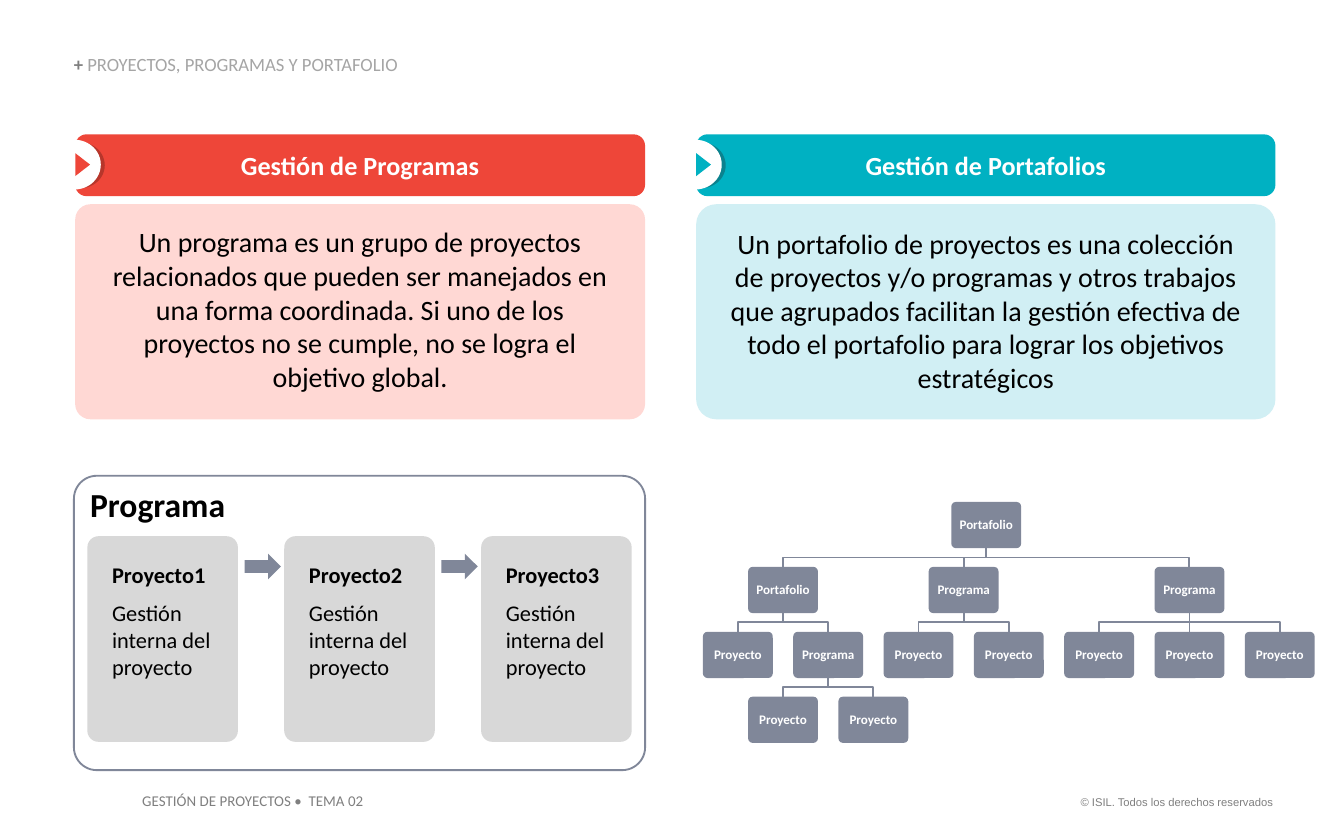
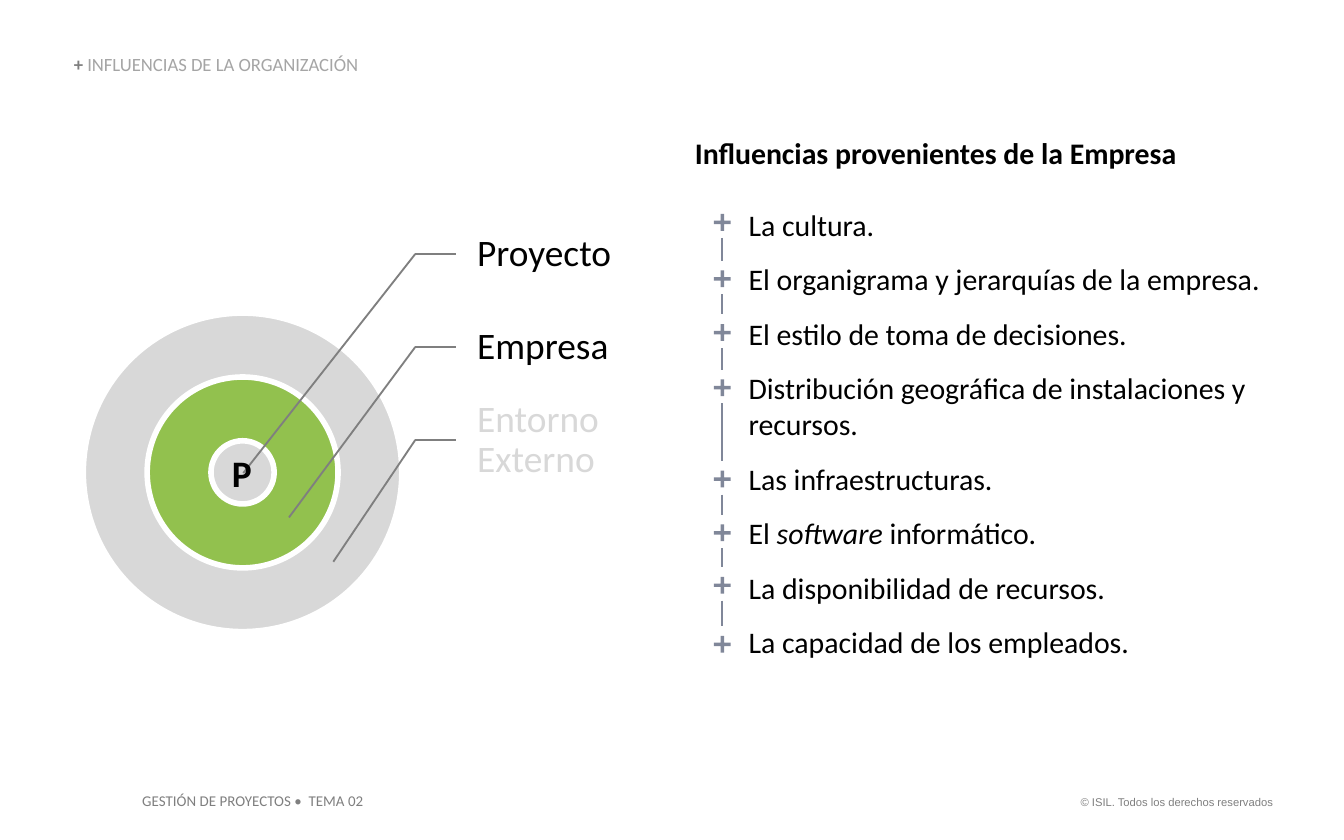
from lxml.etree import SubElement
from pptx import Presentation
from pptx.dml.color import RGBColor
from pptx.enum.shapes import MSO_CONNECTOR, MSO_SHAPE
from pptx.enum.text import MSO_ANCHOR, PP_ALIGN
from pptx.oxml.ns import qn
from pptx.util import Inches, Pt

COLOURS = {
    "black": "000000", "white": "FFFFFF", "grey": "7F7F7F", "title": "A5A5A5",
    "pale": "D8D8D8", "slate": "808799", "green": "92C14E",
    "red": "EE4639", "red_dark": "B7362B", "red_light": "FFD8D4",
    "teal": "00B1C2", "teal_dark": "0B828E", "teal_light": "D1EFF4",
}
RGB = {name: RGBColor.from_string(code) for name, code in COLOURS.items()}

deck = Presentation()
deck.slide_width, deck.slide_height = Inches(10), Inches(6.25)
# Every length below counts cells of a grid of 100 columns by 62.5 rows.
COL = deck.slide_width / 100
ROW = deck.slide_height / 62.5


def add_part(slide, preset, box, fill=None, line=None, line_width=1, adjust=None,
             text="", size=12, colour="black", bold=False, font="Calibri",
             align=PP_ALIGN.LEFT, anchor=MSO_ANCHOR.TOP, insets=(0, 0, 0, 0), spacing=None):
    """Place a preset shape, or a text box if preset is None; box is in grid cells."""
    left, top, width, height = box
    frame = int(left * COL), int(top * ROW), int(width * COL), int(height * ROW)
    if preset is None:
        part = slide.shapes.add_textbox(*frame)
    else:
        part = slide.shapes.add_shape(preset, *frame)
        part.shadow.inherit = False
        if adjust is not None:
            part.adjustments[0] = adjust
        if fill:
            part.fill.solid()
            part.fill.fore_color.rgb = RGB[fill]
        else:
            part.fill.background()
        if line:
            part.line.color.rgb = RGB[line]
            part.line.width = Pt(line_width)
        else:
            part.line.fill.background()
    words = part.text_frame
    words.word_wrap = True
    words.vertical_anchor = anchor
    words.margin_left, words.margin_top, words.margin_right, words.margin_bottom = (
        int(inset * COL) for inset in insets)
    if text:
        words.text = text
    for paragraph in words.paragraphs:
        paragraph.alignment = align
        if spacing:
            paragraph.line_spacing = spacing
        for run in paragraph.runs:
            run.font.name, run.font.size, run.font.bold = font, Pt(size), bold
            run.font.color.rgb = RGB[colour]
    return part


def add_line(slide, start, end, colour):
    (x1, y1), (x2, y2) = start, end
    line = slide.shapes.add_connector(MSO_CONNECTOR.STRAIGHT, int(x1 * COL), int(y1 * ROW),
                                      int(x2 * COL), int(y2 * ROW))
    line.line.color.rgb = RGB[colour]
    line.line.width = Pt(1)
    SubElement(line._element.spPr, qn("a:effectLst"))
    return line


# Title and footers of both slides
FOOTER_INSETS = (1, 0.5, 1, 0.5)
slides = []
for title in ("PROYECTOS, PROGRAMAS Y PORTAFOLIO", "INFLUENCIAS DE LA ORGANIZACIÓN"):
    slide = deck.slides.add_slide(deck.slide_layouts[6])
    slides.append(slide)
    add_part(slide, None, (79.1, 58.7, 16.6, 2), text="© ISIL. Todos los derechos reservados",
             size=6, font="Arial", colour="grey", align=PP_ALIGN.RIGHT, insets=FOOTER_INSETS)
    add_part(slide, None, (9.6, 58.4, 18.5, 2.4), text="GESTIÓN DE PROYECTOS •  TEMA 02",
             size=8, colour="grey", insets=FOOTER_INSETS)
    heading = add_part(slide, None, (5.5, 4.1, 49, 1.5), text="+ ", size=10, colour="grey",
                       bold=True, anchor=MSO_ANCHOR.BOTTOM, spacing=0.9)
    title_run = heading.text_frame.paragraphs[0].add_run()
    title_run.text = title
    title_run.font.name, title_run.font.size, title_run.font.bold = "Calibri", Pt(10), False
    title_run.font.color.rgb = RGB["title"]
programs, influences = slides

# Slide 1: definitions
DEFINITIONS = [
    (5.6, 42.4, "red", 0.071, "Gestión de Programas",
     "Un programa es un grupo de proyectos relacionados que pueden ser manejados en una forma "
     "coordinada. Si uno de los proyectos no se cumple, no se logra el objetivo global."),
    (51.8, 43.1, "teal", 0.093, "Gestión de Portafolios",
     "Un portafolio de proyectos es una colección de proyectos y/o programas y otros trabajos "
     "que agrupados facilitan la gestión efectiva de todo el portafolio para lograr los "
     "objetivos estratégicos"),
]
for left, width, hue, corner, term, meaning in DEFINITIONS:
    add_part(programs, MSO_SHAPE.ROUNDED_RECTANGLE, (left, 15.2, width, 16), hue + "_light",
             adjust=corner, text=meaning, size=15, align=PP_ALIGN.CENTER,
             insets=(1.6, 1.2, 1.6, 0.5))
    add_part(programs, MSO_SHAPE.ROUNDED_RECTANGLE, (left, 10, width, 4.6), hue, adjust=0.183,
             text=term, size=14, colour="white", bold=True, align=PP_ALIGN.CENTER,
             anchor=MSO_ANCHOR.MIDDLE, insets=FOOTER_INSETS)
    add_part(programs, MSO_SHAPE.OVAL, (left - 1.4, 10.6, 3.6, 3.4), hue + "_dark")
    add_part(programs, MSO_SHAPE.OVAL, (left - 2, 10.4, 3.9, 3.7), "white")
    pointer = add_part(programs, MSO_SHAPE.ISOSCELES_TRIANGLE, (left - 0.3, 11.7, 1.7, 1.1), hue)
    pointer.rotation = 90

# Slide 1: program made of projects
add_part(programs, None, (6.7, 36, 19.1, 3), text="Programa", size=18, bold=True)
for number in range(3):
    left = 6.5 + 14.65 * number
    project = add_part(programs, MSO_SHAPE.ROUNDED_RECTANGLE, (left, 39.9, 11.2, 15.3), "pale",
                       adjust=0.074, insets=(1.6, 1.6, 0, 0.5),
                       text=f"Proyecto{number + 1}\nGestión interna del proyecto")
    name, detail = project.text_frame.paragraphs
    name.runs[0].font.bold = True
    detail.space_before = Pt(6)
    if number < 2:
        add_part(programs, MSO_SHAPE.RIGHT_ARROW, (left + 11.7, 41.2, 2.7, 1.9), "slate")
add_part(programs, MSO_SHAPE.ROUNDED_RECTANGLE, (5.5, 35.4, 42.5, 21.9), line="slate",
         adjust=0.078)

# Slide 1: portfolio tree as (label, half-step across, level, parent)
TREE = [
    ("Portafolio", 5.5, 0, None),
    ("Portafolio", 1, 1, 0), ("Programa", 5, 1, 0), ("Programa", 10, 1, 0),
    ("Proyecto", 0, 2, 1), ("Programa", 2, 2, 1),
    ("Proyecto", 4, 2, 2), ("Proyecto", 6, 2, 2),
    ("Proyecto", 8, 2, 3), ("Proyecto", 10, 2, 3), ("Proyecto", 12, 2, 3),
    ("Proyecto", 1, 3, 5), ("Proyecto", 3, 3, 5),
]
NODE_W, NODE_H, GAP = 5.2, 3.44, 1.39
nodes = []
for label, step, level, parent in TREE:
    middle = 54.9 + 3.36 * step
    top = 37.35 + (NODE_H + GAP) * level
    node = add_part(programs, MSO_SHAPE.ROUNDED_RECTANGLE,
                    (middle - NODE_W / 2, top, NODE_W, NODE_H), "slate", adjust=0.1,
                    text=label, size=7, colour="white", bold=True, align=PP_ALIGN.CENTER,
                    anchor=MSO_ANCHOR.MIDDLE, insets=(0.4,) * 4, spacing=0.9)
    nodes.append((node, middle))
    if parent is None:
        continue
    parent_node, parent_middle = nodes[parent]
    if parent_middle == middle:
        stem = add_line(programs, (middle, top - GAP), (middle, top), "slate")
        stem.begin_connect(parent_node, 2)
        stem.end_connect(node, 0)
    else:
        corners = [(parent_middle, top - GAP), (parent_middle, top - GAP / 2),
                   (middle, top - GAP / 2), (middle, top)]
        points = [(int(x * COL), int(y * ROW)) for x, y in corners]
        builder = programs.shapes.build_freeform(*points[0])
        builder.add_line_segments(points[1:], close=False)
        branch = builder.convert_to_shape()
        branch.shadow.inherit = False
        branch.fill.background()
        branch.line.color.rgb = RGB["slate"]
        branch.line.width = Pt(1)

# Slide 2: rings around the project
for diameter, hue in ((23.7, "pale"), (14.2, "green"), (4.7, "pale")):
    add_part(influences, MSO_SHAPE.OVAL,
             (18.05 - diameter / 2, 35.15 - diameter / 2, diameter, diameter), hue,
             line="white", line_width=3)
RINGS = [("Proyecto", "black", (18.1, 35.2)), ("Empresa", "black", (21.5, 38.5)),
         ("Entorno Externo", "pale", (24.8, 41.8))]
for order, (ring, hue, target) in enumerate(RINGS):
    level = 18.9 + 6.92 * order
    add_part(influences, None, (33.9, level - 3.45, 11.9, 6.9), text=ring, size=20, colour=hue,
             anchor=MSO_ANCHOR.MIDDLE, insets=(1.6, 0.3, 0.3, 0.3), spacing=0.9)
    add_line(influences, (30.9, level), (33.9, level), "grey")
    add_line(influences, (30.9, level), target, "grey")
add_part(influences, None, (16.2, 33, 3.6, 4.4), text="P", size=20, bold=True,
         align=PP_ALIGN.CENTER, insets=FOOTER_INSETS)

# Slide 2: influences of the company, each with the top of its plus sign
INFLUENCES = [
    ("La cultura.", 15.7),
    ("El organigrama y jerarquías de la empresa.", 19.9),
    ("El estilo de toma de decisiones.", 23.9),
    ("Distribución geográfica de instalaciones y recursos.", 28),
    ("Las infraestructuras.", 34.8),
    ("El software informático.", 38.8),
    ("La disponibilidad de recursos.", 42.7),
    ("La capacidad de los empleados.", 47.1),
]
ITALIC = "software"
lines = ["Influencias provenientes de la Empresa"] + [item for item, _ in INFLUENCES]
listing = add_part(influences, None, (51.7, 10, 43.1, 39.4), text="\n".join(lines), size=16)
header, *items = listing.text_frame.paragraphs
header.runs[0].font.bold = True
for order, paragraph in enumerate(items):
    paragraph.space_before = Pt(10 if order else 19.5)
    properties = paragraph._p.get_or_add_pPr()
    properties.set("marL", str(int(4 * COL)))
    properties.set("indent", "0")
    if ITALIC in paragraph.text:
        before, after = paragraph.text.split(ITALIC)
        paragraph.runs[0].text = before
        for words in (ITALIC, after):
            run = paragraph.add_run()
            run.text = words
            run.font.name, run.font.size = "Calibri", Pt(16)
            run.font.italic = words == ITALIC
            run.font.color.rgb = RGB["black"]

tops = [top for _, top in INFLUENCES]
for top in tops:
    add_part(influences, MSO_SHAPE.MATH_PLUS, (52.9, top, 1.7, 1.7), "slate", adjust=0.152)
for top, next_top in zip(tops, tops[1:]):
    add_line(influences, (53.7, top + 2), (53.7, next_top - 0.5), "slate")

deck.save("out.pptx")
